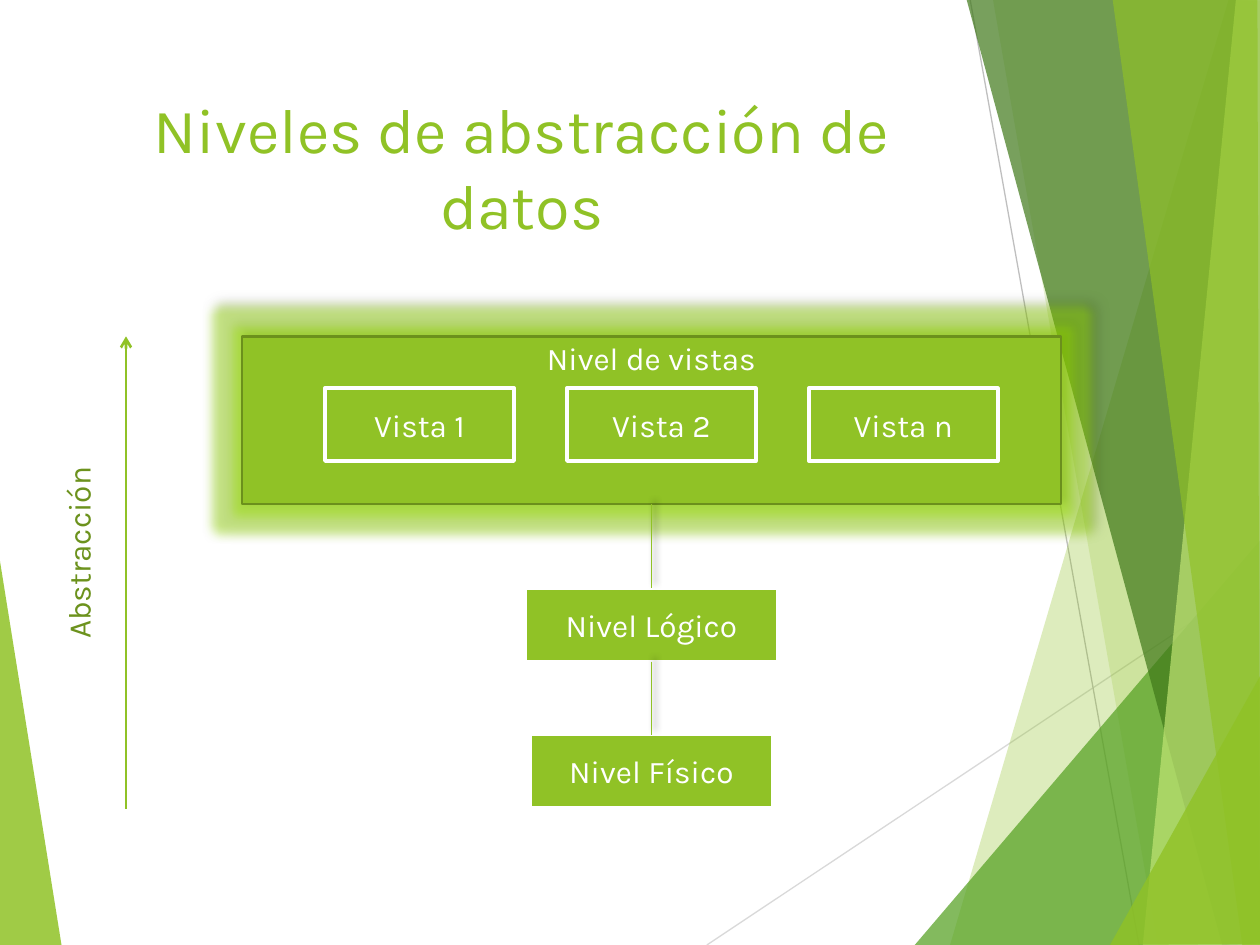
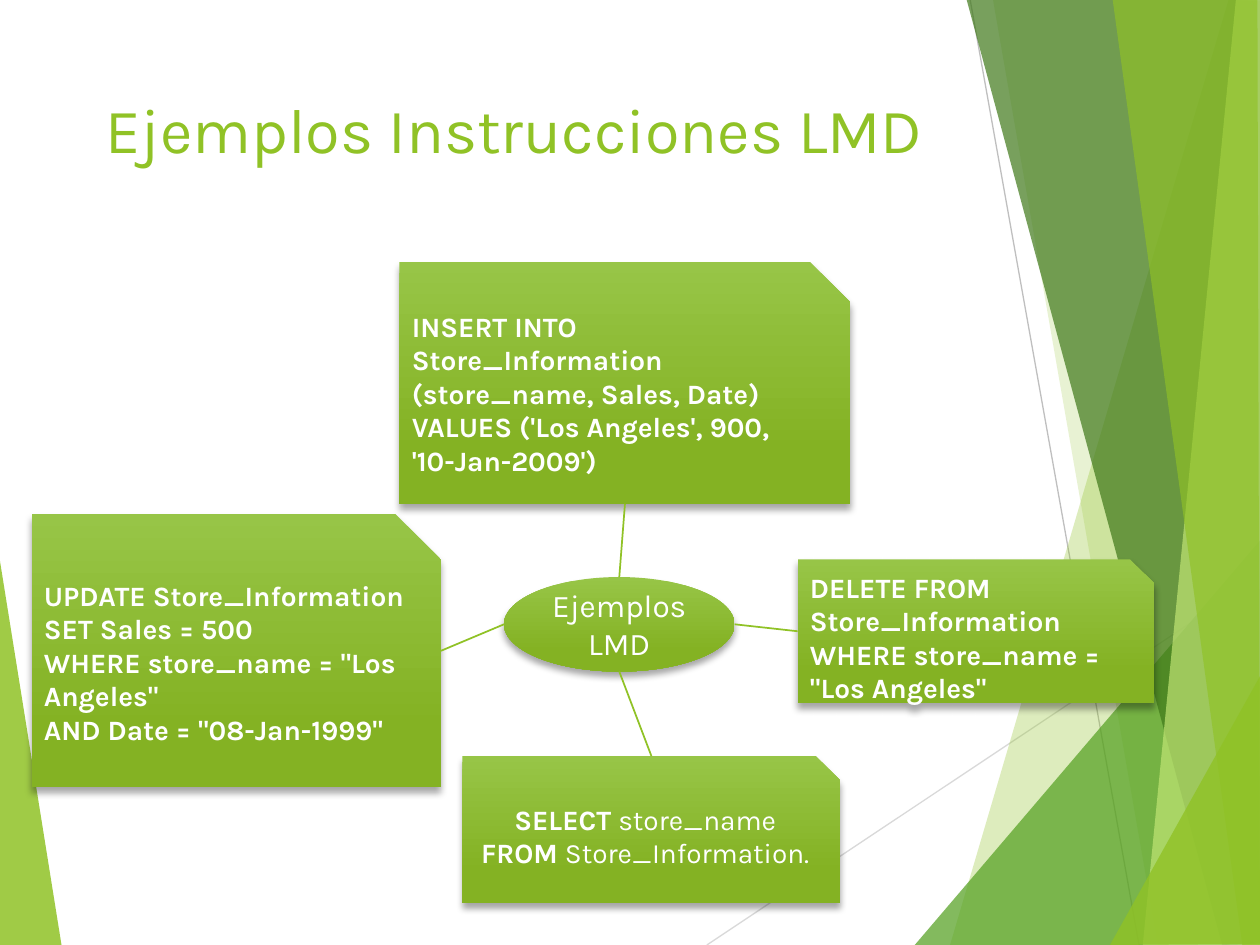
from dataclasses import dataclass

import pptx
import pptx.util
import pptx.dml.color
import pptx.enum.shapes
import pptx.enum.text
import pptx.oxml
import pptx.oxml.ns
from lxml import etree

Inches, Pt = pptx.util.Inches, pptx.util.Pt
qn = pptx.oxml.ns.qn
SHAPES = pptx.enum.shapes.MSO_SHAPE
STRAIGHT = pptx.enum.shapes.MSO_CONNECTOR.STRAIGHT
ALIGN, ANCHOR = pptx.enum.text.PP_ALIGN, pptx.enum.text.MSO_ANCHOR


@dataclass(frozen=True)
class Theme:
    font: str = "Karla"
    green: str = "90C226"
    mid_green: str = "54A021"
    deep_green: str = "3F7819"
    pale_green: str = "C0E474"
    frame_green: str = "6B901C"
    label_green: str = "6C921D"
    gradient_top: str = "97C547"
    gradient_bottom: str = "84B223"
    white: str = "FFFFFF"
    light_grey: str = "D9D9D9"
    grey: str = "BFBFBF"
    title_size: int = 36
    text_size: int = 18
    code_size: int = 16


THEME = Theme()

# Background facets: colour, opacity %, corner points in inches
FACETS = [
    (THEME.green, 85, [(-0.01, 4.39), (0.49, 7.51), (-0.01, 7.5)]),
    (THEME.green, 30, [(9.75, 0), (7.54, 7.5), (10.02, 7.51), (10.01, 0.01)]),
    (THEME.green, 20, [(7.88, -0.01), (9.19, 7.5), (10.01, 7.5), (10.01, -0.01)]),
    (THEME.mid_green, 72, [(7.26, 7.5), (10, 4.29), (10.01, 7.5)]),
    (THEME.deep_green, 70, [(7.67, -0.01), (9.7, 7.5), (10.01, 7.49), (10.01, -0.01)]),
    (THEME.pale_green, 70, [(9.81, -0.01), (9.07, 7.5), (10.01, 7.5), (10, -0.01)]),
    (THEME.green, 65, [(8.83, -0.01), (9.86, 7.5), (10, 7.5), (9.98, -0.01)]),
    (THEME.green, 80, [(8.81, 7.5), (10.01, 5.35), (10.01, 7.49)]),
]


def rgb(code):
    return pptx.dml.color.RGBColor.from_string(code)


def apply(target, values):
    for name, value in values.items():
        setattr(target, name, value)


# ---- Formatting ----
def set_effects(element, color="000000", opacity=None, angle=0, glow=False):
    """Replace the effects; no opacity means no shadow."""
    properties = element.spPr
    for old in properties.findall(qn("a:effectLst")):
        properties.remove(old)
    effects = etree.SubElement(properties, qn("a:effectLst"))
    if glow:
        halo = etree.SubElement(effects, qn("a:glow"), rad=str(Pt(11)))
        tint = etree.SubElement(halo, qn("a:srgbClr"), val=THEME.green)
        etree.SubElement(tint, qn("a:satMod"), val="175000")
        etree.SubElement(tint, qn("a:alpha"), val="40000")
    if opacity:
        shadow = etree.SubElement(effects, qn("a:outerShdw"), blurRad=str(Pt(4)),
                                  dist=str(Pt(3)), dir=str(angle * 60000),
                                  algn="ctr", rotWithShape="0")
        tint = etree.SubElement(shadow, qn("a:srgbClr"), val=color)
        etree.SubElement(tint, qn("a:alpha"), val=str(opacity * 1000))


def solid(shape, color, line=None, width=0):
    shape.fill.solid()
    shape.fill.fore_color.rgb = rgb(color)
    if line:
        shape.line.color.rgb = rgb(line)
        shape.line.width = Pt(width)
    else:
        shape.line.fill.background()


def gradient(shape):
    shape.fill.gradient()
    shape.fill.gradient_angle = 270
    stops = [(0, THEME.gradient_top), (0.78, THEME.gradient_bottom)]
    for stop, (position, color) in zip(shape.fill.gradient_stops, stops):
        stop.position = position
        stop.color.rgb = rgb(color)
    shape.line.fill.background()
    set_effects(shape._element, opacity=35, angle=90)


def style_font(font, size, color, bold=False):
    apply(font, {"name": THEME.font, "size": Pt(size), "bold": bold})
    font.color.rgb = rgb(color)


def write(shape, pieces, size=THEME.text_size, color=THEME.white,
          align=ALIGN.CENTER, anchor=ANCHOR.MIDDLE):
    """Fill one paragraph with (text, bold) pieces; newlines become breaks."""
    frame = shape.text_frame
    apply(frame, {"word_wrap": True, "vertical_anchor": anchor})
    paragraph = frame.paragraphs[0]
    paragraph.alignment = align
    for text, bold in pieces:
        for number, line in enumerate(text.split("\n")):
            if number:
                paragraph.add_line_break()
            run = paragraph.add_run()
            run.text = line
            style_font(run.font, size, color, bold)
    for line_break in paragraph._p.findall(qn("a:br")):
        etree.SubElement(line_break, qn("a:rPr"), sz=str(size * 100))
    return paragraph


# ---- Elements ----
def place(shape, left, top, width, height):
    apply(shape, {"left": Inches(left), "top": Inches(top),
                  "width": Inches(width), "height": Inches(height)})


def add_title(slide, text):
    title = slide.shapes.title
    place(title, 0.67, 0.67, 6.94, 1.44)
    write(title, [(text, False)], THEME.title_size, THEME.green, anchor=ANCHOR.TOP)


def add_box(slide, box, kind=SHAPES.RECTANGLE):
    shape = slide.shapes.add_shape(kind, *map(Inches, box))
    shape.shadow.inherit = False
    return shape


def add_level(slide, text, box):
    level = add_box(slide, box)
    solid(level, THEME.green, THEME.white, 2)
    write(level, [(text, False)])
    return level


def add_example(slide, pieces, box, align=ALIGN.LEFT):
    example = add_box(slide, box, SHAPES.SNIP_1_RECTANGLE)
    gradient(example)
    write(example, pieces, THEME.code_size, align=align)
    return example


def add_line(slide, start, end, color=THEME.green, width=1.0):
    line = slide.shapes.add_connector(STRAIGHT, *start, *end)
    line.line.color.rgb = rgb(color)
    line.line.width = Pt(width)
    set_effects(line._element)
    return line


def edge(shape, side):
    """Middle of one side of a shape."""
    across, down = {"top": (0.5, 0), "bottom": (0.5, 1),
                    "left": (0, 0.5), "right": (1, 0.5)}[side]
    return (int(shape.left + shape.width * across),
            int(shape.top + shape.height * down))


def point(x, y):
    return Inches(x), Inches(y)


# ---- Shared background, kept on the master ----
def add_facet(slide, color, opacity, corners):
    start, *others = [point(*corner) for corner in corners]
    builder = slide.shapes.build_freeform(*start)
    builder.add_line_segments(others, close=True)
    facet = builder.convert_to_shape()
    facet.shadow.inherit = False
    solid(facet, color)
    tint = facet._element.spPr.find(qn("a:solidFill")).find(qn("a:srgbClr"))
    etree.SubElement(tint, qn("a:alpha"), val=str(opacity * 1000))
    return facet


def build_background(master, slide):
    left_facet, *right_facets = FACETS
    parts = [add_facet(slide, *left_facet),
             add_line(slide, point(5.61, 7.5), point(10.01, 4.57), THEME.light_grey, 0.75),
             add_line(slide, point(7.7, 0), point(9.04, 7.5), THEME.grey, 0.75)]
    parts += [add_facet(slide, *facet) for facet in right_facets]
    for order, part in enumerate(parts):
        part._element.xpath(".//p:cNvPr")[0].set("id", str(100 + order))
        master.shapes._spTree.insert(2 + order, part._element)


# ---- Slides ----
def build_levels(slide):
    add_title(slide, "Niveles de abstracción de datos")

    # View level with its views
    views = add_box(slide, (1.92, 2.67, 6.5, 1.33))
    solid(views, THEME.green, THEME.frame_green, 1.5)
    set_effects(views._element, opacity=40, angle=315, glow=True)
    write(views, [("Nivel de vistas", False)], anchor=ANCHOR.TOP)
    views.text_frame.margin_top = Inches(0.02)
    for column, name in enumerate(["Vista 1", "Vista 2", "Vista n"]):
        add_level(slide, name, (2.58 + 1.92 * column, 3.08, 1.5, 0.58))

    # Logical level in the body placeholder, physical level below
    logical = slide.placeholders[1]
    place(logical, 4.17, 4.67, 2, 0.58)
    solid(logical, THEME.green, THEME.white, 2)
    paragraph = write(logical, [("Nivel Lógico", False)])
    paragraph.space_before = Pt(10)
    settings = paragraph._p.get_or_add_pPr()
    settings.set("marL", str(Inches(0.38)))
    settings.set("indent", str(Inches(-0.38)))
    etree.SubElement(settings, qn("a:buNone"))
    physical = add_level(slide, "Nivel Físico", (4.21, 5.83, 1.92, 0.58))

    for upper, lower in [(views, logical), (logical, physical)]:
        link = add_line(slide, edge(upper, "bottom"), edge(lower, "top"))
        set_effects(link._element, opacity=40, angle=315)

    # Abstraction axis
    axis = add_line(slide, point(1, 6.42), point(1, 2.67), width=1.5)
    outline = axis._element.spPr.find(qn("a:ln"))
    etree.SubElement(outline, qn("a:tailEnd"), type="arrow")
    label = slide.shapes.add_textbox(*map(Inches, (0.42, 3.5, 0.5, 1.67)))
    write(label, [("Abstracción", False)], color=THEME.label_green,
          align=ALIGN.LEFT, anchor=ANCHOR.TOP)
    label.text_frame.auto_size = pptx.enum.text.MSO_AUTO_SIZE.SHAPE_TO_FIT_TEXT
    label.text_frame._txBody.bodyPr.set("vert", "vert270")


def build_examples(slide):
    add_title(slide, "Ejemplos Instrucciones LMD ")

    # Statements around the hub
    insert = add_example(slide, [
        ("INSERT INTO Store_Information (store_name, Sales, Date)\n"
         "VALUES ('Los Angeles', 900, '10-Jan-2009')", True)], (3.17, 2.08, 3.58, 1.92))
    update = add_example(slide, [
        ("UPDATE Store_Information\nSET Sales = 500\n"
         "WHERE store_name = \"Los Angeles\"\nAND Date = \"08-Jan-1999\"", True)],
        (0.25, 4.08, 3.25, 2.17))
    select = add_example(slide, [
        ("SELECT ", True), ("store_name ", False),
        ("FROM ", True), ("Store_Information.", False)],
        (3.67, 6, 3, 1.17), ALIGN.CENTER)
    delete = add_example(slide, [
        ("DELETE FROM Store_Information\nWHERE store_name = \"Los Angeles\"", True)],
        (6.33, 4.44, 2.83, 1.14))

    hub = add_box(slide, (4, 4.58, 1.83, 0.75), SHAPES.OVAL)
    gradient(hub)
    write(hub, [("Ejemplos LMD", False)])

    # Spokes
    for hub_side, statement, side in [("top", insert, "bottom"), ("left", update, "right"),
                                      ("bottom", select, "top"), ("right", delete, "left")]:
        add_line(slide, edge(hub, hub_side), edge(statement, side))


def main():
    deck = pptx.Presentation()
    apply(deck, {"slide_width": Inches(10), "slide_height": Inches(7.5)})
    title_and_content, title_only = deck.slide_layouts[1], deck.slide_layouts[5]
    levels = deck.slides.add_slide(title_and_content)
    build_background(deck.slide_master, levels)
    build_levels(levels)
    build_examples(deck.slides.add_slide(title_only))
    deck.save("out.pptx")


main()
